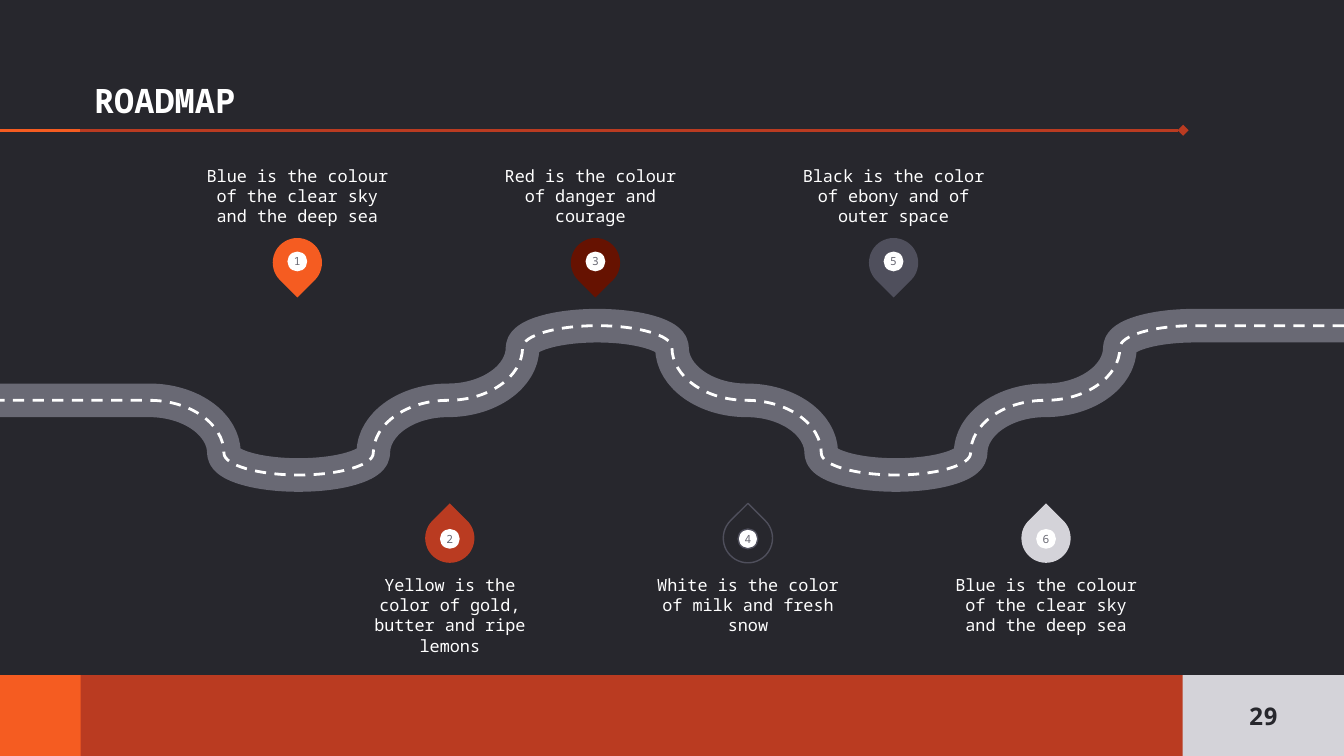
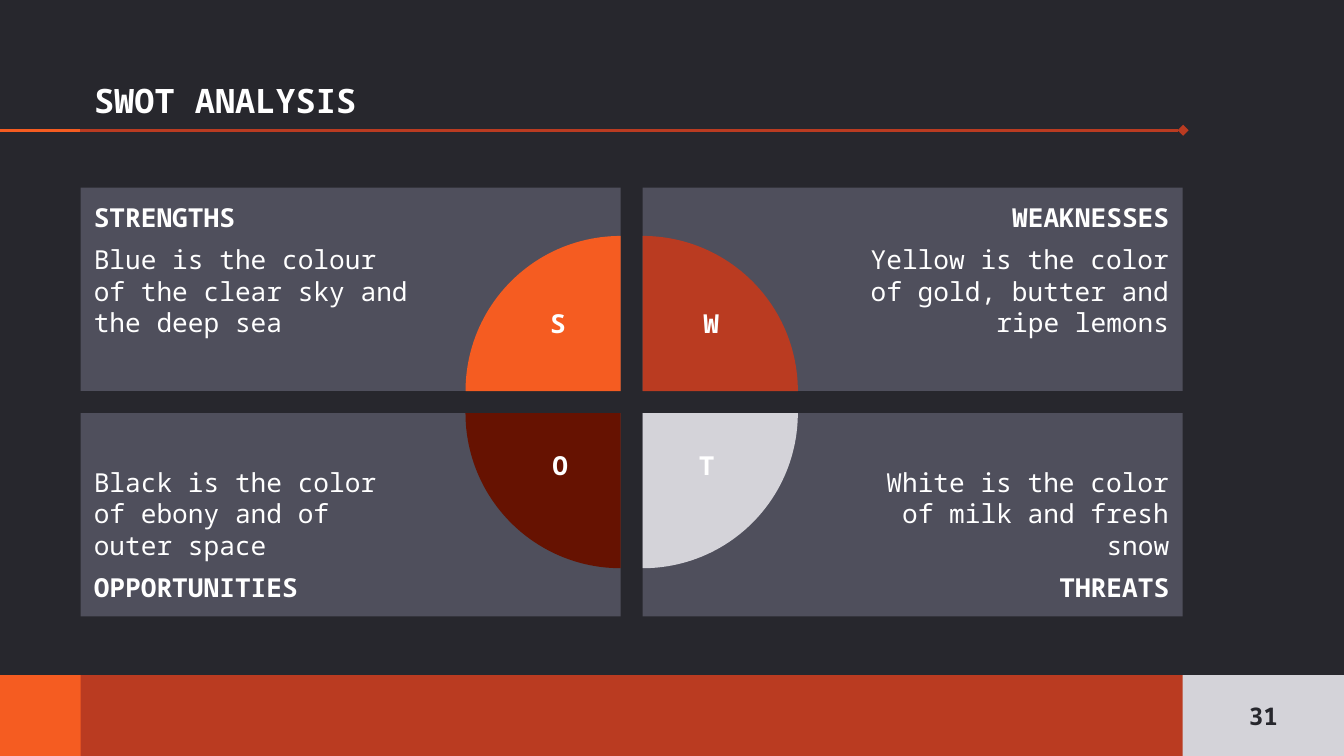
from dataclasses import dataclass
from math import cos, pi

from lxml import etree
from pptx import Presentation
from pptx.dml.color import RGBColor
from pptx.enum.dml import MSO_LINE
from pptx.enum.shapes import MSO_CONNECTOR, MSO_SHAPE
from pptx.enum.text import MSO_ANCHOR, MSO_AUTO_SIZE, PP_ALIGN
from pptx.oxml.ns import qn
from pptx.util import Pt


@dataclass(frozen=True)
class Theme:
    font: str = "Noto Sans Mono"
    night: str = "27272D"
    slate: str = "4F4F5C"
    asphalt: str = "696974"
    mist: str = "D4D3D9"
    white: str = "FFFFFF"
    orange: str = "F55C21"
    rust: str = "BA3B21"
    maroon: str = "661201"
    title_size: float = 18
    panel_size: float = 14
    page_size: float = 13
    caption_size: float = 9
    pin_size: float = 6


@dataclass(frozen=True)
class Stop:
    number: int
    caption: str
    color: str
    outline: str = None
    caption_shift: float = 0

    @property
    def above(self):
        return self.number % 2 == 1

    @property
    def center(self):
        return (159.3 if self.above else 241) + 159.7 * ((self.number - 1) // 2)


@dataclass(frozen=True)
class Quadrant:
    heading: str
    body: str
    color: str
    on_right: bool
    on_bottom: bool
    turn: int
    letter_left: float
    letter_width: float

    @property
    def left(self):
        return MARGIN + self.on_right * (PANEL_WIDTH + GAP)

    @property
    def top(self):
        return PANEL_TOP + self.on_bottom * (PANEL_HEIGHT + GAP)


THEME = Theme()
WIDTH, HEIGHT = 720, 405
MARGIN, RIGHT_EDGE = 43.2, 633.6
FOOTER_TOP, FOOTER_HEIGHT = 361.7, 43.3
RULE_TOP = 69.8
BEND, ROAD_MIDDLE = 40, 214.5
CURVE_PULL = 0.55
DROP, DOT = 26.4, 10.6
CAPTION_WIDTH, CAPTION_HEIGHT = 101.6, 42
GAP, PANEL_TOP, PANEL_WIDTH, PANEL_HEIGHT = 11.8, 100.6, 289.3, 108.9
PIE = 166.2
INSET, PIE_INSET = 7.2, 108

STOPS = [
    Stop(1, "Blue is the colour of the clear sky and the deep sea", THEME.orange),
    Stop(3, "Red is the colour of danger and courage", THEME.maroon, caption_shift=-2.7),
    Stop(5, "Black is the color of ebony and of outer space", THEME.slate),
    Stop(2, "Yellow is the color of gold, butter and ripe lemons", THEME.rust),
    Stop(4, "White is the color of milk and fresh snow", THEME.night, THEME.slate),
    Stop(6, "Blue is the colour of the clear sky and the deep sea", THEME.mist),
]

QUADRANTS = [
    Quadrant("STRENGTHS", "Blue is the colour of the clear sky and the deep sea",
             THEME.orange, False, False, 0, 287.7, 22.4),
    Quadrant("WEAKNESSES", "Yellow is the color of gold, butter and ripe lemons",
             THEME.rust, True, False, 90, 357.6, 46.8),
    Quadrant("OPPORTUNITIES", "Black is the color of ebony and of outer space",
             THEME.maroon, False, True, 270, 285.3, 29.6),
    Quadrant("THREATS", "White is the color of milk and fresh snow",
             THEME.mist, True, True, 180, 365.3, 26.6),
]


def rgb(color):
    return RGBColor.from_string(color)


def box(*lengths):
    return [Pt(length) for length in lengths]


def apply(target, **values):
    for name, value in values.items():
        setattr(target, name, value)


def set_line(line, color, width):
    line.color.rgb = rgb(color)
    line.width = Pt(width)


def write(frame, paragraphs, size, color=THEME.white, align=PP_ALIGN.CENTER,
          anchor=MSO_ANCHOR.TOP, insets=(0, 0, 0, 0)):
    """Fill a text frame from (text, bold, space before, space after) rows."""
    left, top, right, bottom = box(*insets)
    apply(frame, word_wrap=True, auto_size=MSO_AUTO_SIZE.NONE, vertical_anchor=anchor,
          margin_left=left, margin_top=top, margin_right=right, margin_bottom=bottom)
    for index, (text, bold, before, after) in enumerate(paragraphs):
        paragraph = frame.add_paragraph() if index else frame.paragraphs[0]
        apply(paragraph, alignment=align, space_before=Pt(before), space_after=Pt(after))
        run = paragraph.add_run()
        run.text = text
        apply(run.font, name=THEME.font, size=Pt(size), bold=bold)
        run.font.color.rgb = rgb(color)


def add_block(slide, preset, bounds, color, outline=None, rotation=0):
    block = slide.shapes.add_shape(preset, *box(*bounds))
    block.shadow.inherit = False
    block.rotation = rotation
    block.fill.solid()
    block.fill.fore_color.rgb = rgb(color)
    if outline:
        set_line(block.line, outline, 0.75)
    else:
        block.line.fill.background()
    return block


def add_label(slide, bounds, text, size, bold=False, **layout):
    label = slide.shapes.add_textbox(*box(*bounds))
    write(label.text_frame, [(text, bold, 0, 0)], size, **layout)


def add_rule(slide, end, color, diamond=False):
    rule = slide.shapes.add_connector(
        MSO_CONNECTOR.STRAIGHT, *box(-0.6, RULE_TOP, end, RULE_TOP))
    set_line(rule.line, color, 1.5)
    if diamond:
        etree.SubElement(rule.line._get_or_add_ln(), qn("a:tailEnd"), type="diamond")
    etree.SubElement(rule._element.spPr, qn("a:effectLst"))
    return rule


def share_frame(slide):
    """Draw the rules and footer band, then move them to the slide's layout."""
    frame = [
        add_rule(slide, RIGHT_EDGE + 0.2, THEME.rust, diamond=True),
        add_block(slide, MSO_SHAPE.RECTANGLE,
                  (0, FOOTER_TOP, WIDTH, FOOTER_HEIGHT), THEME.rust),
        add_block(slide, MSO_SHAPE.RECTANGLE,
                  (0, FOOTER_TOP, MARGIN, FOOTER_HEIGHT), THEME.orange),
        add_rule(slide, 42.8, THEME.orange),
    ]
    for part in frame:
        slide.slide_layout.shapes.element.append(part.element)


def add_titled_slide(deck, title, page):
    slide = deck.slides.add_slide(deck.slide_layouts[5])
    left, top, width, height = box(MARGIN, 28.4, RIGHT_EDGE - MARGIN, MARGIN)
    heading = slide.shapes.title
    apply(heading, left=left, top=top, width=width, height=height)
    write(heading.text_frame, [(title, True, 0, 0)], THEME.title_size,
          align=PP_ALIGN.LEFT, anchor=MSO_ANCHOR.BOTTOM, insets=[INSET] * 4)
    number = add_block(slide, MSO_SHAPE.RECTANGLE,
                       (RIGHT_EDGE, FOOTER_TOP, WIDTH - RIGHT_EDGE, FOOTER_HEIGHT),
                       THEME.mist)
    write(number.text_frame, [(str(page), True, 0, 0)], THEME.page_size, THEME.night,
          anchor=MSO_ANCHOR.MIDDLE, insets=[INSET] * 4)
    return slide


def road_y(x):
    return ROAD_MIDDLE - BEND * cos(pi * x / (4 * BEND))


def round_bends(road):
    """Turn the road's inner segments into quarter circles, flat and upright by turns."""
    start = road._element.find(".//" + qn("a:moveTo"))
    steps = [start, *road._element.findall(".//" + qn("a:lnTo"))]
    knots = [(int(step[0].get("x")), int(step[0].get("y"))) for step in steps]
    for index in range(2, len(steps) - 1):
        (x1, y1), (x2, y2) = knots[index - 1], knots[index]
        across, down = round(CURVE_PULL * (x2 - x1)), round(CURVE_PULL * (y2 - y1))
        if index % 2 == 0:
            controls = [(x1 + across, y1), (x2, y2 - down)]
        else:
            controls = [(x1, y1 + down), (x2 - across, y2)]
        curve = etree.Element(qn("a:cubicBezTo"))
        for x, y in [*controls, (x2, y2)]:
            etree.SubElement(curve, qn("a:pt"), x=str(x), y=str(y))
        steps[index].getparent().replace(steps[index], curve)


def add_road(slide, color, width, dash=None):
    knots = [(x, road_y(x)) for x in range(16 * BEND, BEND, -BEND)]
    builder = slide.shapes.build_freeform(*box(WIDTH, knots[0][1]), scale=1.0)
    builder.add_line_segments([box(*knot) for knot in [*knots, (0, knots[-1][1])]],
                              close=False)
    road = builder.convert_to_shape()
    round_bends(road)
    road.shadow.inherit = False
    road.fill.background()
    set_line(road.line, color, width)
    road.line.dash_style = dash


def add_pin(slide, stop):
    drop_top, dot_top = (127.5, 134.8) if stop.above else (275.1, 283.4)
    add_block(slide, MSO_SHAPE.TEAR, (stop.center - DROP / 2, drop_top, DROP, DROP),
              stop.color, stop.outline, rotation=135 if stop.above else 315)
    dot = add_block(slide, MSO_SHAPE.OVAL, (stop.center - DOT / 2, dot_top, DOT, DOT),
                    THEME.white, stop.outline)
    write(dot.text_frame, [(str(stop.number), False, 0, 0)], THEME.pin_size,
          THEME.asphalt, anchor=MSO_ANCHOR.MIDDLE)


def add_caption(slide, stop):
    left = stop.center + stop.caption_shift - CAPTION_WIDTH / 2
    top, anchor = (79.2, MSO_ANCHOR.BOTTOM) if stop.above else (307.9, MSO_ANCHOR.TOP)
    add_label(slide, (left, top, CAPTION_WIDTH, CAPTION_HEIGHT), stop.caption,
              THEME.caption_size, anchor=anchor)


def add_panel(slide, quadrant):
    panel = add_block(slide, MSO_SHAPE.RECTANGLE,
                      (quadrant.left, quadrant.top, PANEL_WIDTH, PANEL_HEIGHT),
                      THEME.slate)
    rows = [(quadrant.heading, True), (quadrant.body, False)]
    if quadrant.on_bottom:
        rows.reverse()
    first, last = rows
    write(panel.text_frame, [(*first, 0, 0), (*last, 6, 6)], THEME.panel_size,
          align=PP_ALIGN.RIGHT if quadrant.on_right else PP_ALIGN.LEFT,
          anchor=MSO_ANCHOR.BOTTOM if quadrant.on_bottom else MSO_ANCHOR.TOP,
          insets=(PIE_INSET if quadrant.on_right else INSET, INSET,
                  INSET if quadrant.on_right else PIE_INSET, INSET))


def add_slice(slide, quadrant):
    """Add the quarter pie centred on the panel's inner corner."""
    corner_x = quadrant.left + (0 if quadrant.on_right else PANEL_WIDTH)
    corner_y = quadrant.top + (0 if quadrant.on_bottom else PANEL_HEIGHT)
    pie = add_block(slide, MSO_SHAPE.PIE,
                    (corner_x - PIE / 2, corner_y - PIE / 2, PIE, PIE),
                    quadrant.color, rotation=quadrant.turn)
    pie.adjustments[0], pie.adjustments[1] = 108, 162


def add_letter(slide, quadrant):
    top = 237.2 if quadrant.on_bottom else 161.3
    add_label(slide, (quadrant.letter_left, top, quadrant.letter_width, 32.2),
              quadrant.heading[0], THEME.panel_size, bold=True,
              insets=(INSET, INSET / 2, INSET, INSET / 2))


def build_roadmap(deck):
    slide = add_titled_slide(deck, "ROADMAP", 29)
    add_road(slide, THEME.asphalt, 18)
    add_road(slide, THEME.white, 1.5, MSO_LINE.DASH)
    for add_part in (add_pin, add_caption):
        for stop in STOPS:
            add_part(slide, stop)


def build_swot(deck):
    slide = add_titled_slide(deck, "SWOT ANALYSIS", 31)
    for add_part in (add_panel, add_slice, add_letter):
        for quadrant in QUADRANTS:
            add_part(slide, quadrant)
    share_frame(slide)


def main():
    deck = Presentation()
    apply(deck, slide_width=Pt(WIDTH), slide_height=Pt(HEIGHT))
    backdrop = deck.slide_master.background.fill
    backdrop.solid()
    backdrop.fore_color.rgb = rgb(THEME.night)
    build_roadmap(deck)
    build_swot(deck)
    deck.save("out.pptx")


if __name__ == "__main__":
    main()
